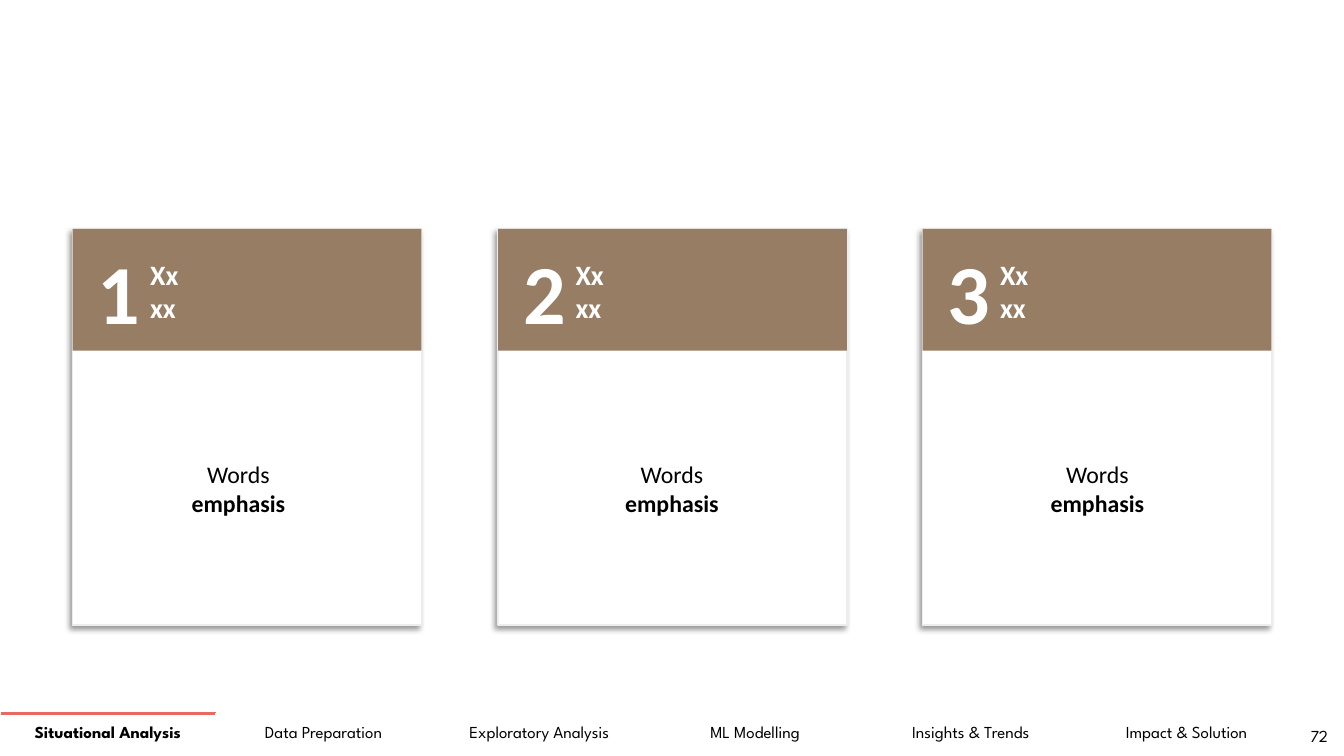
import pptx
import pptx.dml.color
import pptx.enum.shapes
import pptx.enum.text
import pptx.oxml
import pptx.oxml.ns
import pptx.util

PX = 9144  # EMU per px, 100 px to the inch
BODY_FONT = "Calibri"
NAV_FONT = "League Spartan"
LEFT = pptx.enum.text.PP_ALIGN.LEFT
CENTER = pptx.enum.text.PP_ALIGN.CENTER
MIDDLE = pptx.enum.text.MSO_ANCHOR.MIDDLE

SECTIONS = ["Situational Analysis", "Data Preparation", "Exploratory Analysis",
            "ML Modelling", "Insights & Trends", "Impact & Solution"]
# card left, heading width, left of the words
CARDS = [(72, 209, 100), (494, 276, 530), (915, 278, 952)]
CARD_TOP, CARD_WIDTH, CARD_HEIGHT, BAND_HEIGHT = 227, 346, 393, 121


def px(*lengths):
    return [pptx.util.Emu(length * PX) for length in lengths]


def rgb(color):
    return pptx.dml.color.RGBColor.from_string(color)


def drawingml(content):
    """Parse one element whose root tag opens content."""
    namespace = pptx.oxml.ns.nsdecls("a")
    tag, rest = content.split(" ", 1)
    return pptx.oxml.parse_xml(f"{tag} {namespace} {rest}")


def add_line(paragraph, text, size, font, color, bold, align):
    paragraph.alignment = align
    run = paragraph.add_run()
    run.text = text
    run.font.size = pptx.util.Pt(size)
    run.font.name = font
    run.font.bold = bold
    run.font.color.rgb = rgb(color)


def add_text(slide, box, lines, size, font, color, align=CENTER):
    """Add a text box; lines are (text, bold) pairs."""
    frame = slide.shapes.add_textbox(*px(*box)).text_frame
    frame.word_wrap = True
    frame.vertical_anchor = MIDDLE
    for index, (text, bold) in enumerate(lines):
        paragraph = frame.add_paragraph() if index else frame.paragraphs[0]
        add_line(paragraph, text, size, font, color, bold, align)


def add_rectangle(shapes, box, fill, outline=None):
    rectangle = shapes.add_shape(pptx.enum.shapes.MSO_SHAPE.RECTANGLE, *px(*box))
    rectangle.shadow.inherit = False
    rectangle.fill.solid()
    rectangle.fill.fore_color.rgb = rgb(fill)
    if outline:
        rectangle.line.color.rgb = rgb(outline)
        rectangle.line.width = pptx.util.Pt(1)
    else:
        rectangle.line.fill.background()
    return rectangle


def cast_shadow(shape):
    shape.shadow._element.effectLst.append(drawingml(
        '<a:outerShdw blurRad="50800" dist="38100" dir="8100000" algn="tr" rotWithShape="0">'
        '<a:srgbClr val="000000"><a:alpha val="40000"/></a:srgbClr></a:outerShdw>'))


def add_card(slide, number, left, heading_width, words_left):
    group = slide.shapes.add_group_shape()
    card = add_rectangle(group.shapes, (left, CARD_TOP, CARD_WIDTH, CARD_HEIGHT),
                         "FFFFFF", "EDEDED")
    cast_shadow(card)
    add_rectangle(group.shapes, (left, CARD_TOP, CARD_WIDTH, BAND_HEIGHT), "967D64")
    add_text(slide, (left + 15, 241, 43, 96), [(str(number), True)],
             60, BODY_FONT, "FFFFFF")
    add_text(slide, (left + 67, 245, heading_width, 87), [("Xx", True), ("xx", True)],
             20, BODY_FONT, "FFFFFF", LEFT)
    add_text(slide, (words_left, 374, 273, 221), [("Words", False), ("emphasis", True)],
             17, BODY_FONT, "000000")


def add_navigation(slide, active):
    table = slide.shapes.add_table(1, len(SECTIONS), *px(0, 708, 1284, 42)).table
    table.first_row = False
    table.horz_banding = False
    for index, section in enumerate(SECTIONS):
        cell = table.cell(0, index)
        cell.fill.background()
        cell.vertical_anchor = MIDDLE
        add_line(cell.text_frame.paragraphs[0], section, 12, NAV_FONT, "000000",
                 index == active, CENTER)
    active_properties = table.cell(0, active)._tc.get_or_add_tcPr()
    active_properties.insert(0, drawingml(
        '<a:lnT w="28575"><a:solidFill><a:srgbClr val="EB6761"/></a:solidFill></a:lnT>'))


def main():
    presentation = pptx.Presentation()
    presentation.slide_width, presentation.slide_height = px(1333, 750)
    slide = presentation.slides.add_slide(presentation.slide_layouts[6])
    add_navigation(slide, active=0)
    add_text(slide, (1283, 709, 51, 42), [("72", False)], 12, NAV_FONT, "000000")
    for number, card in enumerate(CARDS, start=1):
        add_card(slide, number, *card)
    presentation.save("out.pptx")


if __name__ == "__main__":
    main()
